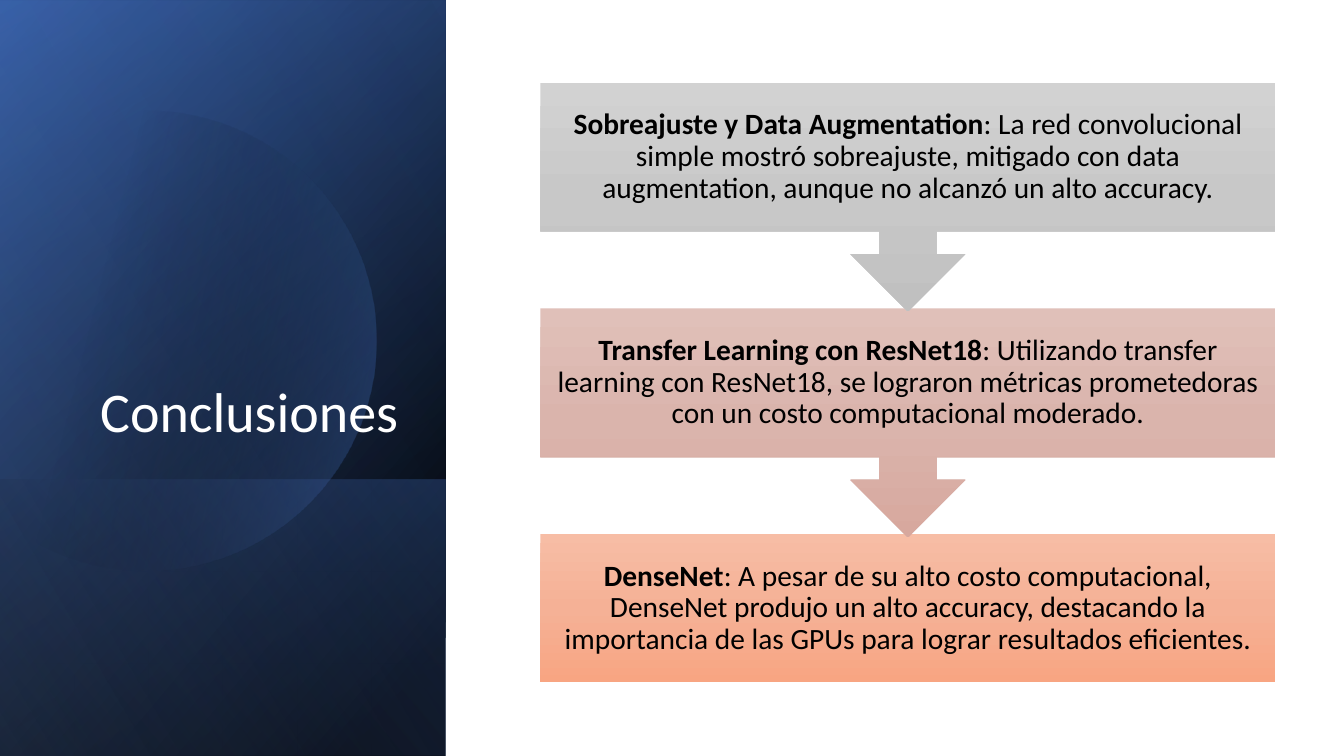
"""Build the "Conclusiones" slide: a dark gradient panel and three chained callouts."""
from math import acos, cos, sin

from pptx import Presentation
from pptx.dml.color import RGBColor
from pptx.enum.shapes import MSO_SHAPE as SHAPE
from pptx.enum.text import MSO_ANCHOR as ANCHOR, MSO_AUTO_SIZE as AUTO_SIZE, PP_ALIGN as ALIGN
from pptx.oxml import parse_xml
from pptx.oxml.ns import nsdecls, qn
from pptx.util import Pt

PX = 9144
FONT = "Calibri"
COLORS = {
    "black": "000000", "white": "FFFFFF",
    "navy": "2F5597", "blue": "4472C4", "sky": "8FAADC",
    "gray_top": "D2D2D2", "gray_mid": "C8C8C8", "gray_low": "C0C0C0",
    "rose_top": "E0C0B9", "rose_mid": "DAB4AC", "rose_low": "D7A89E",
    "peach_top": "F7BDA5", "peach_mid": "F5B196", "peach_low": "F8A582",
}


def paint(shape, stops, angle):
    stop_xml = "".join(
        f'<a:gs pos="{position * 1000}"><a:srgbClr val="{COLORS[color]}">'
        f'<a:alpha val="{opacity * 1000}"/></a:srgbClr></a:gs>'
        for position, color, opacity in stops
    )
    gradient = parse_xml(
        f'<a:gradFill {nsdecls("a")} rotWithShape="1"><a:gsLst>{stop_xml}</a:gsLst>'
        f'<a:lin ang="{angle * 60000}" scaled="0"/></a:gradFill>'
    )
    shape.shadow.inherit = False
    shape.line.fill.background()
    shape.fill.background()
    properties = shape._element.spPr
    properties.replace(properties.find(qn("a:noFill")), gradient)


def add_panel(left, top, width, stops, angle):
    panel = slide.shapes.add_shape(SHAPE.RECTANGLE, left * PX, top * PX, width * PX, 442 * PX)
    panel.rotation = 90
    panel._element.spPr.xfrm.set("flipH", "1")
    paint(panel, stops, angle)


prs = Presentation()
prs.slide_width, prs.slide_height = 1333 * PX, 750 * PX
slide = prs.slides.add_slide(prs.slide_layouts[5])

add_panel(-154, 154, 750, [(8, "black", 100), (100, "navy", 100)], 50)
add_panel(-154, 155, 750, [(0, "black", 0), (99, "blue", 46)], 30)
add_panel(84, 392, 274, [(2, "blue", 29), (100, "black", 30)], 130)

center_x, center_y, radius = 145, 338, 228
half_arc = acos(-center_x / radius)
steps = 120
arc = []
for step in range(steps + 1):
    turn = half_arc * (2 * step / steps - 1)
    arc.append(((center_x + radius * cos(turn)) * PX, (center_y + radius * sin(turn)) * PX))
outline = slide.shapes.build_freeform(*arc[0])
outline.add_line_segments(arc[1:], close=True)
paint(outline.convert_to_shape(), [(29, "black", 0), (100, "blue", 43)], 14)

add_panel(-154, 154, 750, [(0, "black", 0), (99, "sky", 11)], 120)

title = slide.shapes.title
title.left, title.top, title.width, title.height = 64 * PX, 184 * PX, 341 * PX, 262 * PX
slide.shapes._spTree.append(title._element)
heading = title.text_frame
heading.word_wrap = True
heading.auto_size = AUTO_SIZE.NONE
heading.vertical_anchor = ANCHOR.BOTTOM
heading_line = heading.paragraphs[0]
heading_line.alignment = ALIGN.RIGHT
heading_line.line_spacing = 0.9
heading_run = heading_line.add_run()
heading_run.text = "Conclusiones"
heading_run.font.name = FONT
heading_run.font.size = Pt(40)
heading_run.font.color.rgb = RGBColor.from_string(COLORS["white"])

conclusions = [
    ("gray", SHAPE.DOWN_ARROW_CALLOUT, 227, "Sobreajuste y Data Augmentation",
     ": La red convolucional simple mostró sobreajuste, mitigado con data augmentation, "
     "aunque no alcanzó un alto accuracy."),
    ("rose", SHAPE.DOWN_ARROW_CALLOUT, 227, "Transfer Learning con ResNet18",
     ": Utilizando transfer learning con ResNet18, se lograron métricas prometedoras "
     "con un costo computacional moderado."),
    ("peach", SHAPE.RECTANGLE, 147, "DenseNet",
     ": A pesar de su alto costo computacional, DenseNet produjo un alto accuracy, "
     "destacando la importancia de las GPUs para lograr resultados eficientes."),
]
for row, (tone, outline_kind, height, topic, finding) in reversed(list(enumerate(conclusions))):
    callout = slide.shapes.add_shape(
        outline_kind, 536 * PX, (82 + 224 * row) * PX, 729 * PX, height * PX)
    paint(callout, [(0, f"{tone}_top", 100), (50, f"{tone}_mid", 100), (100, f"{tone}_low", 100)], 90)
    frame = callout.text_frame
    frame.word_wrap = True
    frame.vertical_anchor = ANCHOR.MIDDLE
    frame.margin_left = frame.margin_right = frame.margin_top = frame.margin_bottom = 16 * PX
    paragraph = frame.paragraphs[0]
    paragraph.alignment = ALIGN.CENTER
    paragraph.line_spacing = 0.9
    for words, bold in ((topic, True), (finding, False)):
        run = paragraph.add_run()
        run.text = words
        run.font.name = FONT
        run.font.size = Pt(21)
        run.font.bold = bold
        run.font.color.rgb = RGBColor.from_string(COLORS["black"])

prs.save("out.pptx")
